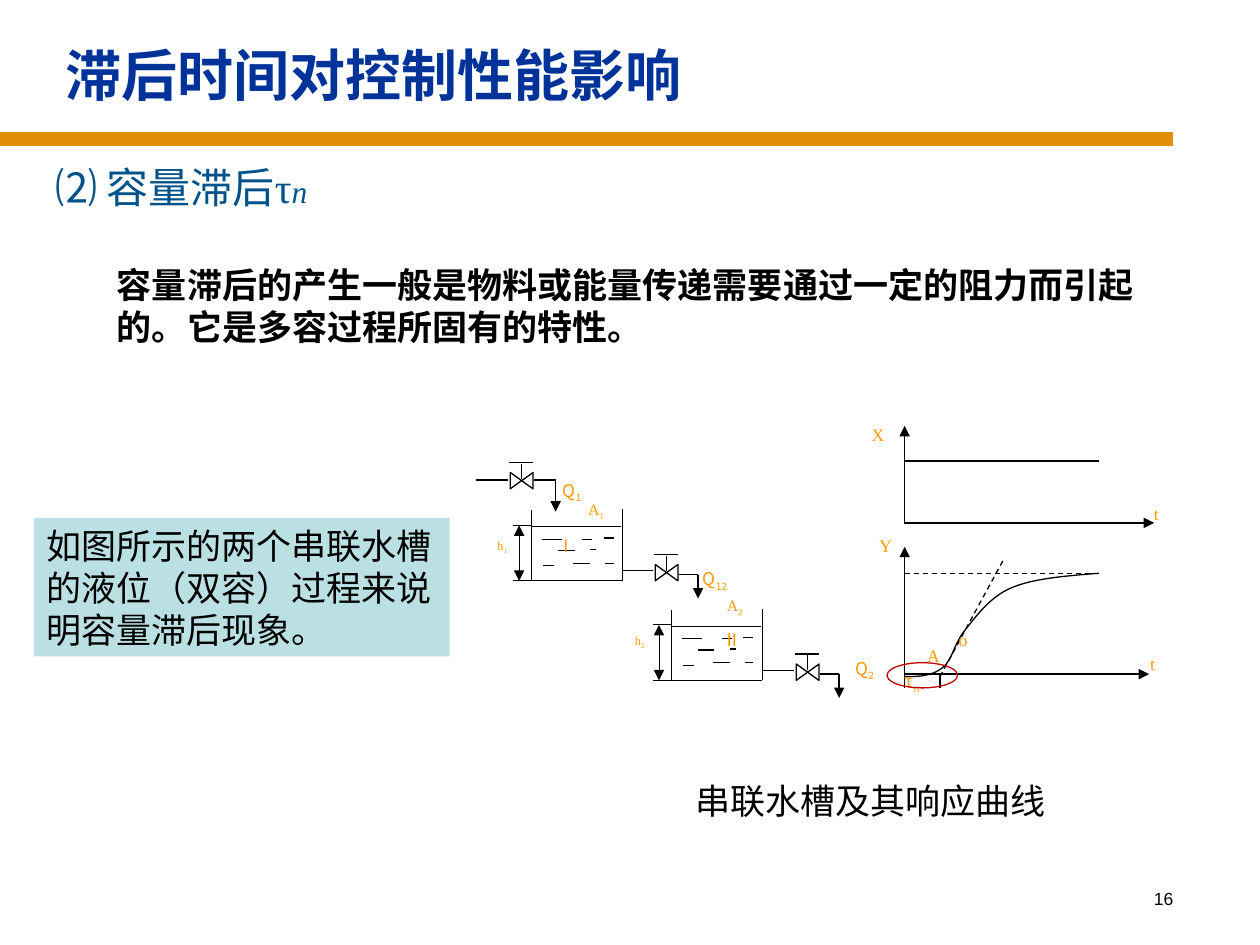
from lxml import etree
from pptx import Presentation
from pptx.dml.color import RGBColor
from pptx.enum.dml import MSO_LINE
from pptx.enum.shapes import MSO_CONNECTOR, MSO_SHAPE
from pptx.enum.text import MSO_ANCHOR, PP_ALIGN
from pptx.oxml.ns import qn
from pptx.util import Inches, Pt

STRAIGHT = MSO_CONNECTOR.STRAIGHT
TRIANGLE, RECTANGLE, OVAL = (
    MSO_SHAPE.ISOSCELES_TRIANGLE, MSO_SHAPE.RECTANGLE, MSO_SHAPE.OVAL)
DASH = MSO_LINE.DASH
LEFT, RIGHT, JUSTIFY = PP_ALIGN.LEFT, PP_ALIGN.RIGHT, PP_ALIGN.JUSTIFY
TOP, MIDDLE = MSO_ANCHOR.TOP, MSO_ANCHOR.MIDDLE

BLACK, WHITE, ORANGE = "000000", "FFFFFF", "FF9900"
SERIF, HAN, SANS = "Times New Roman", "Noto Sans CJK SC", "DejaVu Sans"

# Water dashes in a tank: x and y from its lower left corner, and length
WATER_DASHES = [
    (0.08, -0.33, 0.16), (0.21, -0.24, 0.13), (0.33, -0.14, 0.13),
    (0.4, -0.33, 0.08), (0.46, -0.25, 0.05), (0.09, -0.12, 0.09),
    (0.58, -0.14, 0.07), (0.57, -0.34, 0.08),
]
# Response curve: start point, then Bezier segments of two handles and an end
CURVE_START = (7.18, 5.37)
CURVE_SEGMENTS = [
    ((7.28, 5.37), (7.39, 5.37), (7.48, 5.3)),
    ((7.56, 5.24), (7.57, 5.11), (7.66, 5)),
    ((7.75, 4.89), (7.86, 4.73), (8.04, 4.66)),
    ((8.21, 4.59), (8.47, 4.57), (8.72, 4.55)),
]
# Text, subscript, font, size, box
TANK_LABELS = [
    ("h", "1", SERIF, 7, (3.85, 4.22, 0.44, 0.55)),
    ("Q", "1", HAN, 10, (4.37, 3.76, 0.4, 0.39)),
    ("Q", "12", HAN, 10, (5.48, 4.46, 0.52, 0.39)),
    ("h", "2", SERIF, 7, (4.94, 4.98, 0.55, 0.55)),
    ("Q", "2", HAN, 10, (6.69, 5.17, 0.62, 0.39)),
    ("A", "1", SERIF, 9, (4.57, 3.92, 0.74, 0.72)),
    ("A", "2", SERIF, 9, (5.67, 4.68, 0.95, 0.46)),
    ("Ⅰ", "", HAN, 10, (4.33, 4.2, 0.62, 0.43)),
    ("Ⅱ", "", HAN, 10, (5.64, 4.94, 0.48, 0.47)),
]
GRAPH_LABELS = [
    ("τ", "n", HAN, 10, (7.08, 5.27, 0.44, 0.57)),
    ("A", "", SERIF, 10, (7.26, 5.07, 0.47, 0.58)),
    ("o", "", SERIF, 10, (7.51, 4.94, 0.44, 0.51)),
    ("X", "", SERIF, 10, (6.82, 3.32, 0.45, 0.57)),
    ("Y", "", SERIF, 10, (6.88, 4.2, 0.48, 0.67)),
    ("t", "", SERIF, 10, (9.06, 3.94, 0.55, 0.64)),
    ("t", "", SERIF, 10, (9.03, 5.13, 0.53, 0.71)),
]


def rgb(color):
    return RGBColor.from_string(color)


def add_run(paragraph, text, size, font, color, bold=False, italic=False):
    run = paragraph.add_run()
    run.text = text
    run.font.size, run.font.name = Pt(size), font
    run.font.bold, run.font.italic = bold, italic
    run.font.color.rgb = rgb(color)
    etree.SubElement(run.font._element, qn("a:ea")).set("typeface", HAN)
    return run


def start_text(shape, align=LEFT, anchor=TOP, wrap=True):
    """Set up the text frame and return its first paragraph."""
    frame = shape.text_frame
    frame.word_wrap, frame.vertical_anchor = wrap, anchor
    frame.paragraphs[0].alignment = align
    return frame.paragraphs[0]


def add_text_box(slide, box, **layout):
    return start_text(slide.shapes.add_textbox(*map(Inches, box)), **layout)


def add_label(slide, text, subscript, font, size, box):
    paragraph = add_text_box(slide, box, align=JUSTIFY)
    paragraph.space_before = Pt(size / 4)
    add_run(paragraph, text, size, font, ORANGE)
    if subscript:
        run = add_run(paragraph, subscript, size, font, ORANGE)
        run.font._element.set("baseline", "-25000")


def add_line(slide, x1, y1, x2, y2, width=0.75, color=BLACK, arrow=False, dash=None):
    line = slide.shapes.add_connector(STRAIGHT, *map(Inches, (x1, y1, x2, y2)))
    line.line.color.rgb, line.line.width = rgb(color), Pt(width)
    if dash:
        line.line.dash_style = dash
    if arrow:
        etree.SubElement(line.line._get_or_add_ln(), qn("a:tailEnd")).set("type", "triangle")
    etree.SubElement(line._element.spPr, qn("a:effectLst"))


def style_shape(shape, fill=None, outline=None):
    shape.shadow.inherit = False
    if fill:
        shape.fill.solid()
        shape.fill.fore_color.rgb = rgb(fill)
    else:
        shape.fill.background()
    if outline:
        shape.line.color.rgb, shape.line.width = rgb(outline), Pt(0.75)
    else:
        shape.line.fill.background()


def add_shape(slide, kind, box, fill=None, outline=None):
    shape = slide.shapes.add_shape(kind, *map(Inches, box))
    style_shape(shape, fill, outline)
    return shape


def draw_valve(slide, inlet_x, x, bar_y, inlet_y, outlet_y, outlet_x, outlet_end):
    """Valve centred on x, with its inlet pipe and its outlet arrow."""
    for left, turn in ((x - 0.11, 90), (x - 0.02, 270)):
        half = add_shape(slide, TRIANGLE, (left, bar_y + 0.1, 0.13, 0.09), WHITE, BLACK)
        half.rotation = turn
    add_line(slide, x, bar_y + 0.13, x, bar_y + 0.01)
    add_line(slide, x - 0.1, bar_y, x + 0.09, bar_y)
    add_line(slide, inlet_x, inlet_y, x - 0.11, inlet_y)
    add_line(slide, x + 0.1, outlet_y, outlet_x, outlet_y)
    add_line(slide, outlet_x, outlet_y, outlet_x, outlet_end, arrow=True)


def draw_tank(slide, left, bottom):
    """Open tank with water and a level dimension at its left."""
    right, level = left + 0.72, bottom - 0.43
    add_line(slide, left, bottom - 0.56, left, bottom)
    add_line(slide, left, bottom, right, bottom)
    add_line(slide, right, bottom - 0.57, right, bottom)
    add_line(slide, left, level, right - 0.01, level)
    for dx, dy, length in WATER_DASHES:
        add_line(slide, left + dx, bottom + dy, left + dx + length, bottom + dy)
    for end in (bottom - 0.44, bottom):
        add_line(slide, left, end, left - 0.15, end, width=0.5)
        add_line(slide, left - 0.1, bottom - 0.19, left - 0.1, end, width=0.5, arrow=True)


def draw_response_curve(slide, steps=12):
    points, start = [], CURVE_START
    for first, second, end in CURVE_SEGMENTS:
        for step in range(1, steps + 1):
            t = step / steps
            weights = ((1 - t) ** 3, 3 * t * (1 - t) ** 2, 3 * t * t * (1 - t), t ** 3)
            corners = (start, first, second, end)
            points.append(tuple(
                Inches(sum(w * c[axis] for w, c in zip(weights, corners)))
                for axis in (0, 1)))
        start = end
    builder = slide.shapes.build_freeform(*map(Inches, CURVE_START))
    builder.add_line_segments(points, close=False)
    style_shape(builder.convert_to_shape(), outline=BLACK)


def draw_graphs(slide):
    origin = 7.18
    for bottom, top, axis_y, right in ((4.16, 3.38, 4.15, 9.16), (5.38, 4.34, 5.35, 9.12)):
        add_line(slide, origin, bottom, origin, top, arrow=True)
        add_line(slide, origin, axis_y, right, axis_y, arrow=True)
    add_line(slide, origin, 3.66, 8.72, 3.66)
    add_line(slide, 7.46, 5.37, 7.96, 4.45, dash=DASH)
    add_line(slide, origin, 4.55, 8.73, 4.55, dash=DASH)
    draw_response_curve(slide)
    for lag_x in (origin, 7.46):
        add_line(slide, lag_x, 5.35, lag_x, 5.46)


def draw_texts(slide):
    title = add_text_box(slide, (0.42, 0.17, 9, 0.84), anchor=MIDDLE)
    add_run(title, "滞后时间对控制性能影响", 32, SERIF, "003399", bold=True)

    heading_box = slide.shapes.add_textbox(*map(Inches, (0.12, 1.31, 3.78, 0.47)))
    heading_box.text_frame.margin_left = Inches(0.32)
    heading = start_text(heading_box)
    heading.line_spacing, heading.space_before = 0.8, Pt(4.5)
    add_run(heading, "⑵ 容量滞后", 24, HAN, "00528B")
    add_run(heading, "τ", 24, SERIF, "00528B")
    add_run(heading, "n", 18, SERIF, "00528B", italic=True)

    cause = add_text_box(slide, (0.83, 2.04, 8.35, 0.77))
    add_run(cause, "容量滞后的产生一般是物料或能量传递需要通过一定的阻力而引起的。"
            "它是多容过程所固有的特性。", 20, SANS, BLACK, bold=True)
    caption = add_text_box(slide, (5.42, 6.13, 3.04, 0.44), anchor=MIDDLE, wrap=False)
    add_run(caption, "串联水槽及其响应曲线", 20, SANS, BLACK)
    note = start_text(
        add_shape(slide, RECTANGLE, (0.27, 4.11, 3.3, 1.1), "BBE0E3"), anchor=MIDDLE)
    add_run(note, "如图所示的两个串联水槽的液位（双容）过程来说明容量滞后现象。", 20, SANS, BLACK)
    page_number = add_text_box(slide, (7.33, 7, 2.08, 0.5), align=RIGHT)
    add_run(page_number, "16", 10, "Arial", BLACK)


def main():
    prs = Presentation()
    prs.slide_width, prs.slide_height = Inches(10), Inches(7.5)
    slide = prs.slides.add_slide(prs.slide_layouts[6])
    add_line(slide, 0, 1.1, 9.31, 1.1, width=8, color="DF8E05")
    draw_texts(slide)
    draw_valve(slide, 3.78, 4.14, 3.67, 3.81, 3.81, 4.41, 4.06)
    draw_valve(slide, 4.94, 5.29, 4.4, 4.53, 4.56, 5.54, 4.75)
    draw_valve(slide, 6.05, 6.41, 5.19, 5.32, 5.35, 6.66, 5.54)
    draw_tank(slide, 4.22, 4.61)
    draw_tank(slide, 5.33, 5.4)
    draw_graphs(slide)
    for label in TANK_LABELS + GRAPH_LABELS:
        add_label(slide, *label)
    add_shape(slide, OVAL, (7.04, 5.26, 0.56, 0.2), outline="C00000")
    prs.save("out.pptx")


if __name__ == "__main__":
    main()
